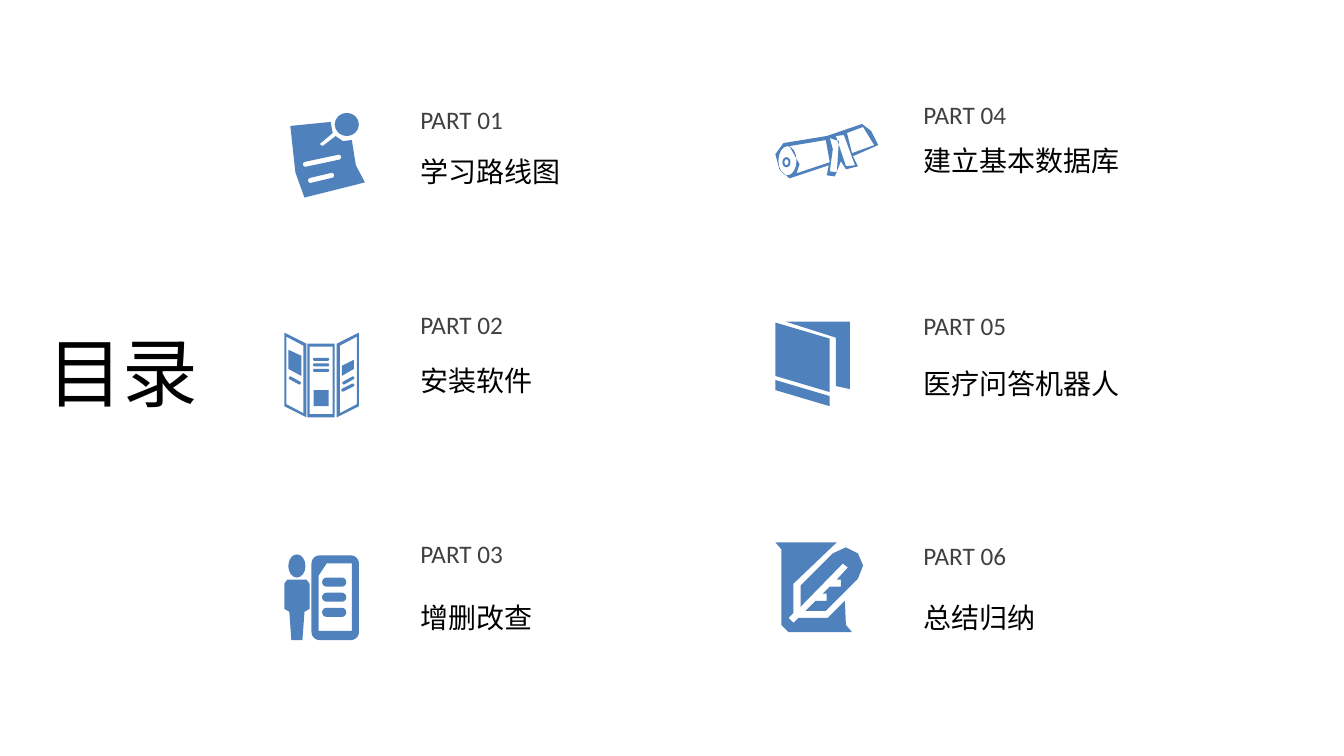
from math import atan2, cos, pi, sin

from pptx import Presentation
from pptx.dml.color import RGBColor
from pptx.util import Inches, Pt

BLUE, GREY, BLACK = "4F81BD", "404040", "000000"
ARC_STEPS = 8


# Outlines: icon points are hundredths of an inch from the icon's corner.
def arc(x, y, rx, ry, start, sweep):
    angles = [start + sweep * step / ARC_STEPS for step in range(ARC_STEPS + 1)]
    return [(x + rx * cos(angle), y + ry * sin(angle)) for angle in angles]


def rect(left, top, right, bottom):
    return [(left, top), (right, top), (right, bottom), (left, bottom)]


def oval(left, top, right, bottom):
    rx, ry = (right - left) / 2, (bottom - top) / 2
    return [point for start in (0, pi)
            for point in arc(left + rx, top + ry, rx, ry, start, pi)]


def rounded(left, top, right, bottom, radius):
    """Rectangle with round corners."""
    near, far = (left + radius, top + radius), (right - radius, bottom - radius)
    centers = [far, (near[0], far[1]), near, (far[0], near[1])]
    return [point for turn, (x, y) in enumerate(centers)
            for point in arc(x, y, radius, radius, turn * pi / 2, pi / 2)]


def bar(x1, y1, x2, y2, width):
    """Line of the given width with round ends."""
    angle, radius = atan2(y2 - y1, x2 - x1), width / 2
    return (arc(x2, y2, radius, radius, angle - pi / 2, pi)
            + arc(x1, y1, radius, radius, angle + pi / 2, pi))


def mirror(outline, width):
    return [(width - x, y) for x, y in outline]


PINNED_NOTE = [
    oval(44, 0, 68, 23),
    [(0, 13), (40, 9), (42, 20), (29, 31), (32, 33), (45, 23), (52, 28), (61, 27),
     (65, 52), (74, 69), (14, 84), (5, 59)],
    bar(20, 67, 41, 62, 5),
    bar(15, 51, 48, 44, 5),
]

FLAP = [(0, 0), (22, 11), (22, 84), (0, 73)]
FLAP_INSIDE = [(2, 4), (19, 13), (19, 80), (2, 71)]
FLAP_LINE = bar(6, 45, 15, 50, 3)
BROCHURE = [
    FLAP, FLAP_INSIDE, FLAP_LINE, mirror(FLAP, 74), mirror(FLAP_INSIDE, 74),
    mirror(FLAP_LINE, 74), bar(68, 52, 58, 57, 3),
    rect(23, 11, 50, 84), rect(25, 14, 48, 81), rect(29, 57, 44, 73),
    [(4, 17), (17, 23), (17, 43), (4, 36)],
    [(69, 27), (69, 36), (57, 43), (57, 33)],
] + [bar(30, 26.5 + 5.5 * line, 43, 26.5 + 5.5 * line, 3) for line in range(3)]

PERSON_WITH_PAGE = [
    oval(4, 0, 21, 23),
    [(3, 25), (22, 25), (25, 29), (25, 54), (20, 57), (18, 85), (7, 85), (5, 57),
     (0, 54), (0, 29)],
    rounded(27, 1, 74, 85, 8),
    [(42, 9), (67, 9), (67, 76), (34, 76), (34, 21)],
] + [bar(42, 27.5 + 15 * line, 57, 27.5 + 15 * line, 9) for line in range(3)]

SCROLL = [
    [(8, 20), (51, 13), (86, 1), (95, 8), (102, 22), (77, 33), (82, 43), (70, 46),
     (65, 38), (59, 53), (51, 52), (53, 42), (14, 55), (4, 46), (0, 31)],
    [(14, 23), (50, 17), (54, 39), (21, 50), (24, 41)],
    oval(3, 23, 21, 52), oval(7, 34, 15, 44), oval(9, 36, 13, 42),
    [(54, 15), (63, 18), (61, 49), (54, 48), (57, 26)],
    [(60, 13), (68, 12), (79, 42), (70, 43)],
    [(71, 10), (87, 4), (98, 22), (76, 30)],
]

BOOK = [
    [(0, 58), (54, 74), (54, 84), (0, 68)],
    [(0, 1), (54, 17), (54, 70), (0, 54)],
    [(10, 0), (74, 0), (74, 67), (60, 64), (60, 16)],
]

PAGE_WITH_PEN = [
    [(70, 5), (82, 11), (87, 23), (82, 36), (50, 68), (30, 68), (40, 58), (51, 58),
     (51, 51), (47, 51), (54, 44), (65, 44), (65, 37), (61, 37), (72, 25), (67, 21),
     (25, 64), (25, 43), (57, 11)],
    [(0, 0), (61, 0), (18, 41), (18, 70), (13, 75), (18, 80), (23, 75), (52, 75),
     (69, 58), (70, 82), (76, 89), (13, 89), (6, 82), (6, 7)],
]

# label, label top, title, title top, icon, icon corner; three parts a column
PARTS = [
    ("PART 01", 0.99, "学习路线图", 1.48, PINNED_NOTE, (2.88, 1.12)),
    ("PART 02", 3.02, "安装软件", 3.56, BROCHURE, (2.82, 3.3)),
    ("PART 03", 5.29, "增删改查", 5.91, PERSON_WITH_PAGE, (2.82, 5.5)),
    ("PART 04", 0.94, "建立基本数据库", 1.37, SCROLL, (7.69, 1.22)),
    ("PART 05", 3.03, "医疗问答机器人", 3.59, BOOK, (7.69, 3.19)),
    ("PART 06", 5.31, "总结归纳", 5.91, PAGE_WITH_PEN, (7.69, 5.38)),
]
COLUMN_LEFTS, ROWS = (4.07, 9.06), 3
LABEL_SIZE, TITLE_SIZE = (1.09, 0.4), (2.16, 0.44)


def color(value):
    return RGBColor.from_string(value)


def add_text(page, text, corner, size, points, ink, font="Calibri"):
    box = page.shapes.add_textbox(*(Inches(length) for length in corner + size))
    box.text_frame.word_wrap = True
    span = box.text_frame.paragraphs[0].add_run()
    span.text = text
    for name, value in {"size": Pt(points), "name": font}.items():
        setattr(span.font, name, value)
    span.font.color.rgb = color(ink)


def add_icon(page, outlines, corner):
    """Draw all outlines as one shape, so that inner ones become holes."""
    left, top = corner
    placed = [[(Inches(left + x / 100), Inches(top + y / 100)) for x, y in outline]
              for outline in outlines]
    builder = page.shapes.build_freeform(*placed[0][0])
    for number, points in enumerate(placed):
        if number:
            builder.move_to(*points[0])
        builder.add_line_segments(points[1:], close=True)
    icon = builder.convert_to_shape()
    icon.shadow.inherit = False
    icon.fill.solid()
    icon.fill.fore_color.rgb = color(BLUE)
    icon.line.fill.background()


def main():
    deck = Presentation()
    deck.slide_width, deck.slide_height = Inches(13.33), Inches(7.5)
    page = deck.slides.add_slide(deck.slide_layouts[6])
    for number, (label, label_top, title, title_top, icon, corner) in enumerate(PARTS):
        left = COLUMN_LEFTS[number // ROWS]
        add_text(page, label, (left, label_top), LABEL_SIZE, 18, GREY)
        add_text(page, title, (left, title_top), TITLE_SIZE, 20, BLACK)
        add_icon(page, icon, corner)
    add_text(page, "目录", (0.37, 3.18), (2.16, 1.01), 54, BLACK, "Arial")
    deck.save("out.pptx")


if __name__ == "__main__":
    main()
